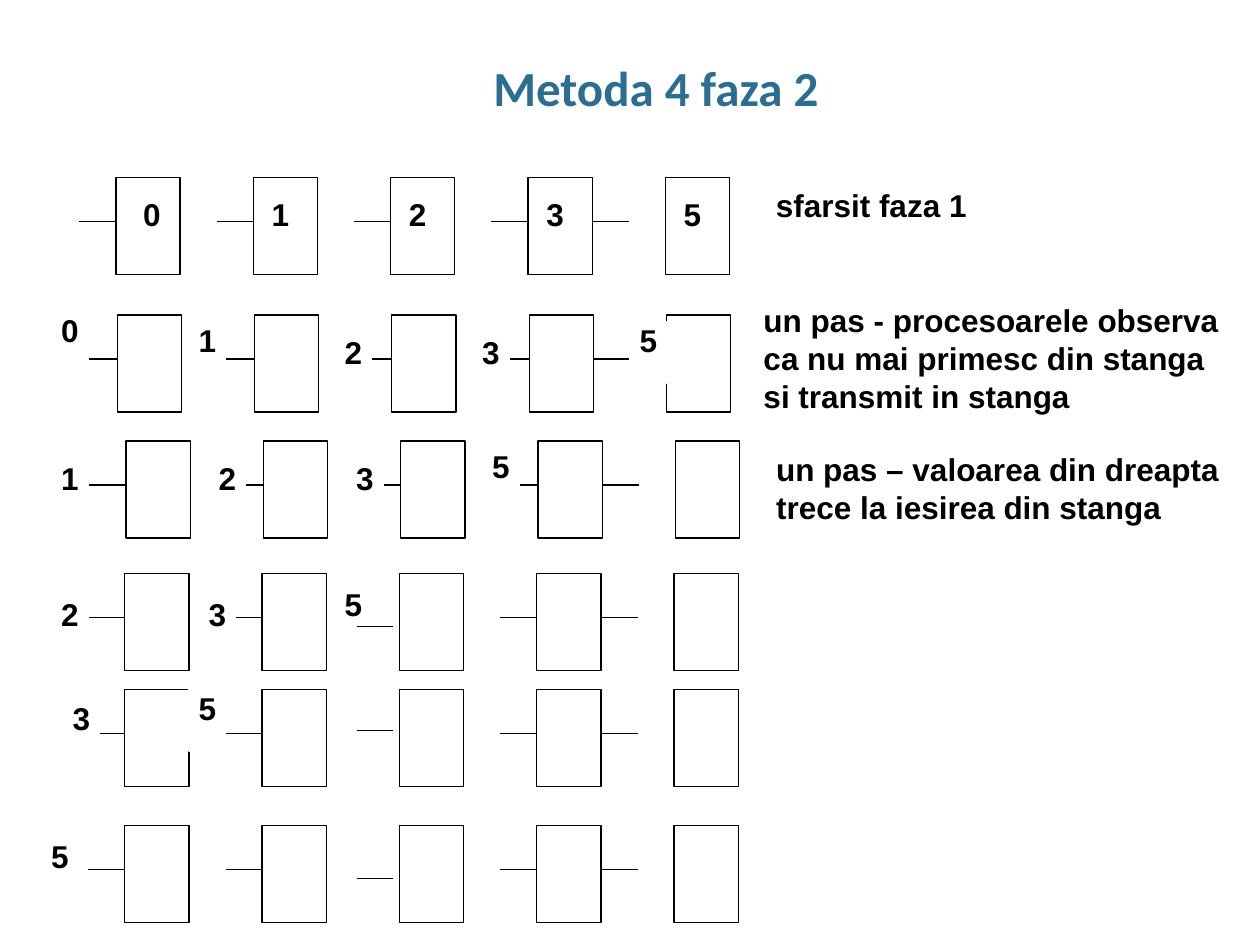
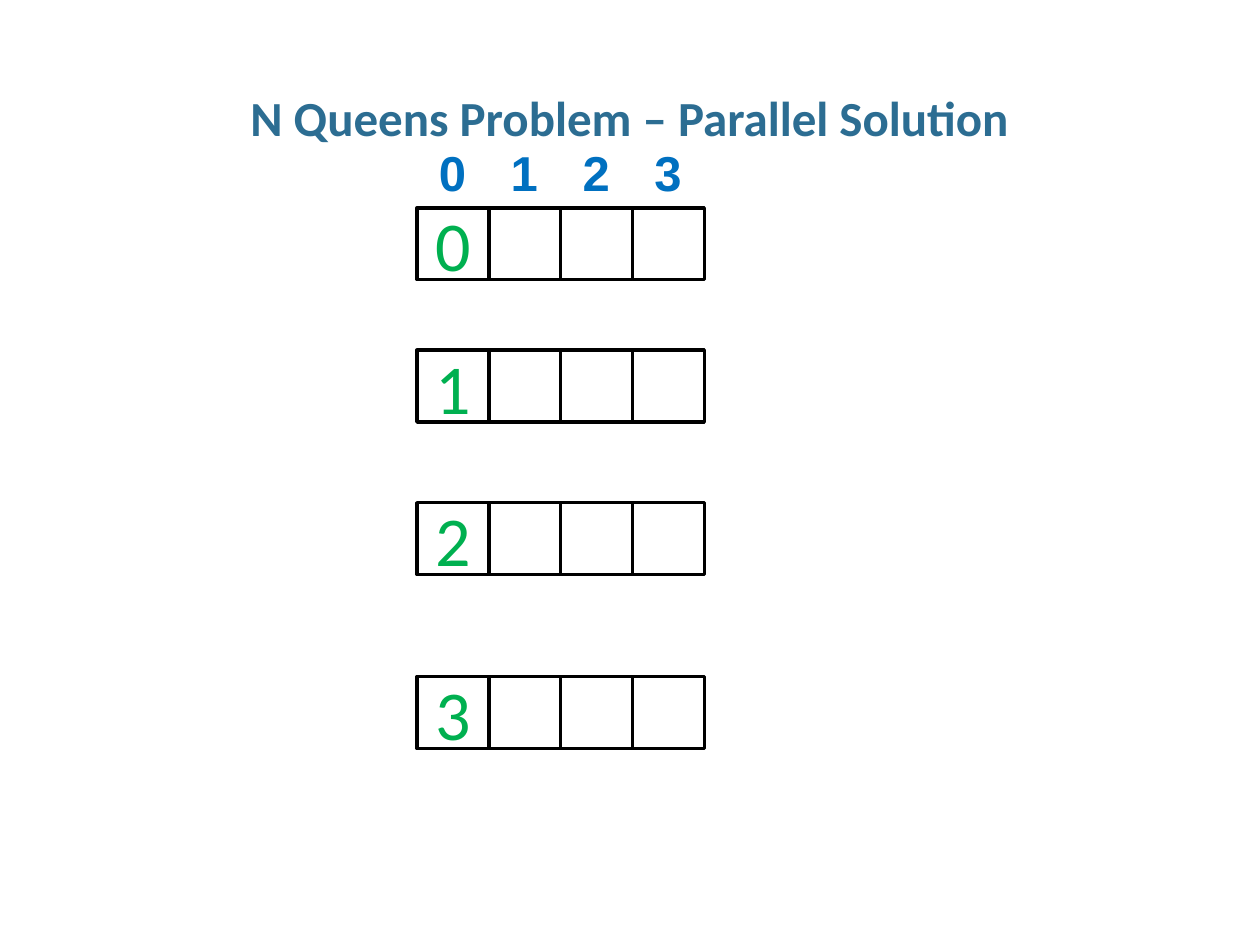
"""Build two slides on parallel algorithms: a processor chain and a queens board."""
from dataclasses import dataclass

import pptx
import pptx.dml.color
import pptx.enum.shapes
import pptx.enum.text
import pptx.oxml
import pptx.oxml.ns
import pptx.util

RGBColor = pptx.dml.color.RGBColor
ALIGN = pptx.enum.text.PP_ALIGN
ANCHOR = pptx.enum.text.MSO_ANCHOR
AUTO_SIZE = pptx.enum.text.MSO_AUTO_SIZE

TITLE_BLUE = RGBColor(0x2C, 0x6D, 0x92)
HEADER_BLUE = RGBColor(0x00, 0x70, 0xC0)
QUEEN_GREEN = RGBColor(0x00, 0xB0, 0x50)
BLACK = RGBColor(0x00, 0x00, 0x00)
WHITE = RGBColor(0xFF, 0xFF, 0xFF)

SLIDE_WIDTH = pptx.util.Inches(10)
SLIDE_HEIGHT = pptx.util.Inches(7.5)
GRID_COLUMNS = 100
TITLE_ONLY_LAYOUT = 5

PROCESSOR_COUNT = 5
PROCESSOR_PITCH = 10.9
PROCESSOR_WIDTH = 5.1
PROCESSOR_HEIGHT = 7.7
LINK_LENGTH = 2.9
LINK_DROP = 3.5
LOOSE_LINK_OFFSET = 18.4
LABEL_WIDTH = 2.9
LABEL_HEIGHT = 4.9

BOARD_SIZE = 4
BOARD_LEFT = 33.1
BOARD_TOPS = (16.5, 27.8, 39.9, 53.7)
CELL = 5.7
HEADER_TOP = 10.8
HEADER_WIDTH = 4.2


@dataclass(frozen=True)
class Area:
    """Rectangle in grid columns and rows."""
    left: float
    top: float
    width: float
    height: float

    def lengths(self) -> tuple[pptx.util.Length, ...]:
        return tuple(map(span, (self.left, self.top, self.width, self.height)))


@dataclass(frozen=True)
class TextStyle:
    """Look of one run of text and of its paragraph."""
    font: str
    size: float
    color: RGBColor
    bold: bool = True
    align: ALIGN | None = ALIGN.CENTER


@dataclass(frozen=True)
class Label:
    """Value held by a processor, placed on the grid."""
    text: str
    left: float
    top: float


@dataclass(frozen=True)
class Note:
    """Explanation at the right of a processor row."""
    text: str
    area: Area
    align: ALIGN = ALIGN.LEFT


@dataclass(frozen=True)
class ProcessorRow:
    """One step of the phase; a loose link replaces the third left link."""
    left: float
    top: float
    labels: tuple[Label, ...]
    note: Note | None = None
    loose_link_top: float | None = None


TITLE_STYLE = TextStyle("Calibri", 28, TITLE_BLUE)
HEADER_STYLE = TextStyle("Arial", 28, HEADER_BLUE, align=None)
QUEEN_STYLE = TextStyle("Calibri", 40, QUEEN_GREEN, bold=False)

PROCESSOR_ROWS = (
    ProcessorRow(
        9.2, 14.1,
        (Label("5", 53.5, 15.5), Label("3", 42.6, 15.5), Label("2", 31.7, 15.5),
         Label("1", 20.8, 15.5), Label("0", 10.6, 15.5)),
        Note("sfarsit faza 1", Area(60.8, 14.8, 16.7, 6.3), ALIGN.CENTER)),
    ProcessorRow(
        9.3, 25,
        (Label("5", 50, 25.5), Label("3", 37.5, 26.4), Label("2", 26.6, 26.4),
         Label("1", 15, 25.5), Label("0", 4.1, 24.7)),
        Note("un pas - procesoarele observa ca nu mai primesc din stanga "
             "si transmit in stanga", Area(60.6, 23.9, 36.4, 9.2))),
    ProcessorRow(
        10, 35,
        (Label("5", 38.3, 35.5), Label("3", 27.5, 36.4), Label("2", 16.6, 36.4),
         Label("1", 4.1, 36.4)),
        Note("un pas – valoarea din dreapta trece la iesirea din stanga",
             Area(61.6, 35.7, 35.7, 6.3))),
    ProcessorRow(
        9.9, 45.5,
        (Label("5", 26.6, 46.4), Label("3", 15.8, 47.2), Label("2", 4.1, 47.2)),
        loose_link_top=49.7),
    ProcessorRow(
        9.9, 54.7,
        (Label("5", 15, 54.7), Label("3", 5, 55.5)),
        loose_link_top=58),
    ProcessorRow(9.9, 65.5, (Label("5", 3.3, 66.4),), loose_link_top=69.7),
)


def span(units: float) -> pptx.util.Length:
    """Turn grid units into a length."""
    return pptx.util.Emu(round(SLIDE_WIDTH * units / GRID_COLUMNS))


def write_text(frame, text: str, style: TextStyle) -> None:
    """Write one formatted run in the first paragraph."""
    paragraph = frame.paragraphs[0]
    paragraph.alignment = style.align
    run = paragraph.add_run()
    run.text = text
    run.font.name = style.font
    run.font.size = pptx.util.Pt(style.size)
    run.font.bold = style.bold
    run.font.color.rgb = style.color


def set_margins(frame, horizontal: float, vertical: float) -> None:
    """Set the insets of a text frame in grid units."""
    frame.margin_left = frame.margin_right = span(horizontal)
    frame.margin_top = frame.margin_bottom = span(vertical)


def add_titled_slide(presentation, title: str, area: Area):
    """Add a slide with its title moved and formatted."""
    slide = presentation.slides.add_slide(presentation.slide_layouts[TITLE_ONLY_LAYOUT])
    shape = slide.shapes.title
    shape.left, shape.top, shape.width, shape.height = area.lengths()
    frame = shape.text_frame
    frame.word_wrap = True
    frame.auto_size = AUTO_SIZE.NONE
    frame.vertical_anchor = ANCHOR.TOP
    set_margins(frame, 0, 0.5)
    write_text(frame, title, TITLE_STYLE)
    frame.paragraphs[0].line_spacing = 0.95
    return slide


def add_box(shapes, area: Area, line: RGBColor, weight: float, filled: bool = True):
    """Add an outlined rectangle, white or see-through."""
    shape = shapes.add_shape(pptx.enum.shapes.MSO_SHAPE.RECTANGLE, *area.lengths())
    shape.shadow.inherit = False
    if filled:
        shape.fill.solid()
        shape.fill.fore_color.rgb = WHITE
    else:
        shape.fill.background()
    shape.line.color.rgb = line
    shape.line.width = pptx.util.Pt(weight)
    return shape


def add_caption(shapes, text: str, area: Area, align: ALIGN, filled: bool) -> None:
    """Add a bold caption in a box with a white outline."""
    frame = add_box(shapes, area, WHITE, 0.75, filled).text_frame
    frame.word_wrap = True
    frame.vertical_anchor = ANCHOR.TOP
    set_margins(frame, 0, 0)
    write_text(frame, text, TextStyle("Arial", 18, BLACK, align=align))


def add_link(shapes, left: float, top: float) -> None:
    """Add a short horizontal link."""
    connector = shapes.add_connector(
        pptx.enum.shapes.MSO_CONNECTOR.STRAIGHT,
        span(left), span(top), span(left + LINK_LENGTH), span(top))
    connector.line.color.rgb = BLACK
    connector.line.width = pptx.util.Pt(0.75)
    properties = connector._element.spPr
    properties.append(pptx.oxml.parse_xml(
        f"<a:effectLst {pptx.oxml.ns.nsdecls('a')}/>"))


def draw_processor_row(slide, row: ProcessorRow) -> None:
    """Draw the processors, links, values and note of one step."""
    shapes = slide.shapes.add_group_shape().shapes
    link_top = row.top + LINK_DROP
    has_loose_link = row.loose_link_top is not None
    last = PROCESSOR_COUNT - 1
    for index in range(PROCESSOR_COUNT):
        left = row.left + index * PROCESSOR_PITCH
        add_box(shapes, Area(left, row.top, PROCESSOR_WIDTH, PROCESSOR_HEIGHT), BLACK, 0.75)
        if index < last and not (has_loose_link and index == 2):
            add_link(shapes, left - LINK_LENGTH, link_top)
        if index == last - 1:
            add_link(shapes, left + PROCESSOR_WIDTH, link_top)
    if row.note:
        add_caption(shapes, row.note.text, row.note.area, row.note.align, filled=False)
    for label in row.labels:
        area = Area(label.left, label.top, LABEL_WIDTH, LABEL_HEIGHT)
        add_caption(shapes, label.text, area, ALIGN.CENTER, filled=True)
    if has_loose_link:
        add_link(shapes, row.left + LOOSE_LINK_OFFSET, row.loose_link_top)


def draw_board_header(slide, column: int) -> None:
    """Write a column number above the board."""
    left = BOARD_LEFT + column * CELL + (CELL - HEADER_WIDTH) / 2
    box = slide.shapes.add_textbox(*Area(left, HEADER_TOP, HEADER_WIDTH, CELL).lengths())
    box.text_frame.word_wrap = False
    box.text_frame.auto_size = AUTO_SIZE.SHAPE_TO_FIT_TEXT
    write_text(box.text_frame, str(column), HEADER_STYLE)


def draw_board_row(slide, number: int, top: float) -> None:
    """Draw one board row with its number in the first cell."""
    for column in range(BOARD_SIZE):
        area = Area(BOARD_LEFT + column * CELL, top, CELL, CELL)
        cell = add_box(slide.shapes, area, BLACK, 2, filled=column == 1)
        if column == 0:
            cell.text_frame.vertical_anchor = ANCHOR.MIDDLE
            write_text(cell.text_frame, str(number), QUEEN_STYLE)


def main() -> None:
    """Build and save the presentation."""
    presentation = pptx.Presentation()
    presentation.slide_width = SLIDE_WIDTH
    presentation.slide_height = SLIDE_HEIGHT

    phase_slide = add_titled_slide(
        presentation, "Metoda 4 faza 2", Area(5.4, 4.4, 93.3, 4.2))
    for row in PROCESSOR_ROWS:
        draw_processor_row(phase_slide, row)

    queens_slide = add_titled_slide(
        presentation, "N Queens Problem – Parallel Solution", Area(3.4, 6.8, 93.1, 5))
    for column in range(BOARD_SIZE):
        draw_board_header(queens_slide, column)
    for number, top in enumerate(BOARD_TOPS):
        draw_board_row(queens_slide, number, top)

    presentation.save("out.pptx")


if __name__ == "__main__":
    main()
